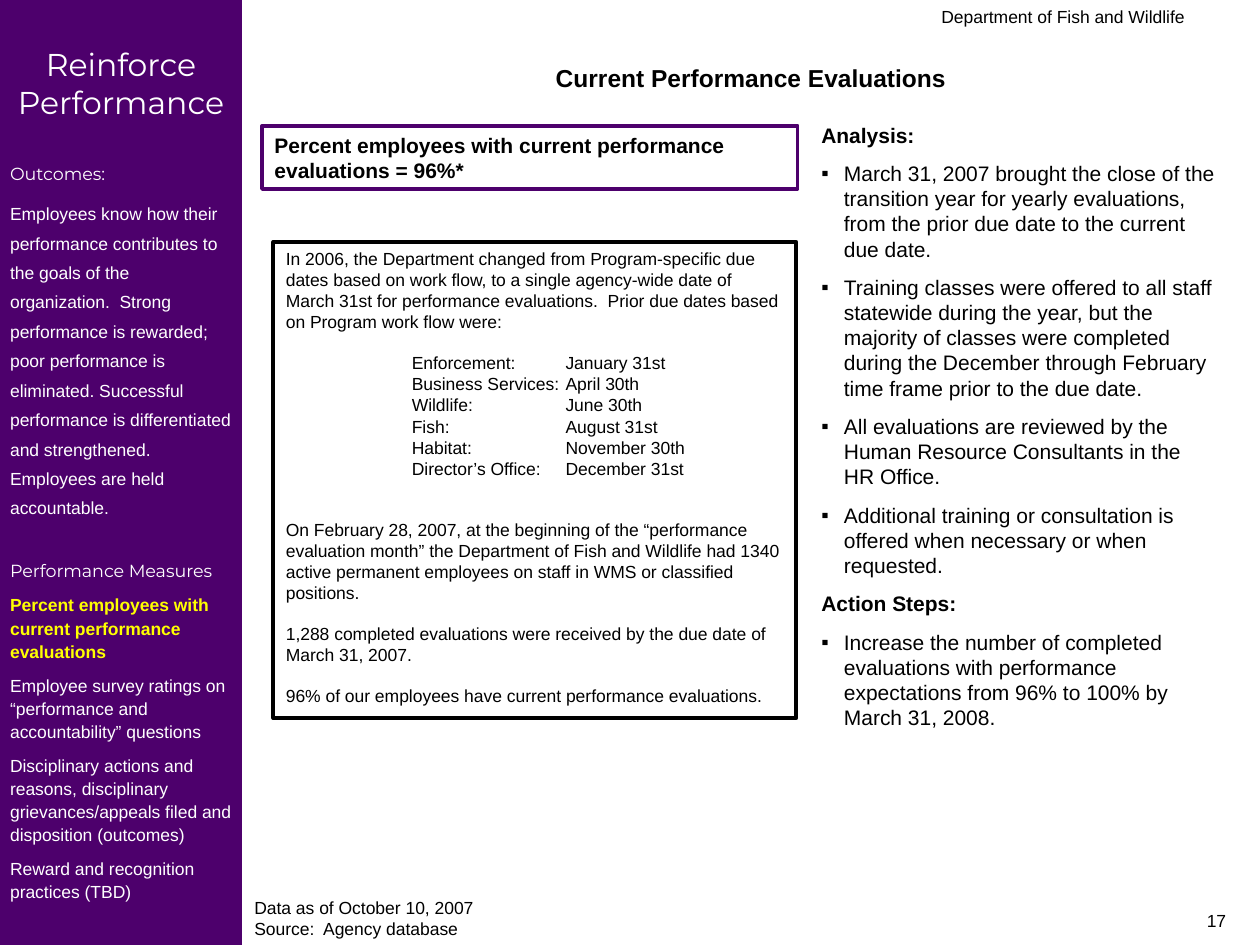
"""Build the Current Performance Evaluations slide."""
from lxml import etree
from pptx import Presentation
from pptx.dml.color import RGBColor
from pptx.enum import shapes, text
from pptx.oxml import ns
from pptx.util import Inches, Pt

COLORS = {"purple": "4D006C", "white": "FFFFFF", "yellow": "FFFF00", "black": "000000"}
LEFT, CENTER, RIGHT = text.PP_ALIGN.LEFT, text.PP_ALIGN.CENTER, text.PP_ALIGN.RIGHT

presentation = Presentation()
presentation.slide_width = Inches(10)
presentation.slide_height = Inches(7.5)
slide = presentation.slides.add_slide(presentation.slide_layouts[6])


def add_box(left, top, width, height, fill=None, line=None, insets=(0.1, 0.05, 0.1, 0.05)):
    position = [Inches(value) for value in (left, top, width, height)]
    if fill or line:
        shape = slide.shapes.add_shape(shapes.MSO_SHAPE.RECTANGLE, *position)
        shape.shadow.inherit = False
        if fill:
            shape.fill.solid()
            shape.fill.fore_color.rgb = RGBColor.from_string(COLORS[fill])
        else:
            shape.fill.background()
        if line:
            shape.line.color.rgb = RGBColor.from_string(COLORS[line])
            shape.line.width = Pt(2.25)
        else:
            shape.line.fill.background()
    else:
        shape = slide.shapes.add_textbox(*position)
    frame = shape.text_frame
    frame.word_wrap = True
    frame.vertical_anchor = text.MSO_ANCHOR.TOP
    frame.margin_left, frame.margin_top, frame.margin_right, frame.margin_bottom = map(Inches, insets)
    return frame


def add_text(frame, words, size=10, color="black", bold=False, font="Arial",
             align=LEFT, before=0, spacing=None, bullet=None, tabs=()):
    paragraph = frame.paragraphs[0]
    if paragraph.runs:
        paragraph = frame.add_paragraph()
        paragraph.space_before = Pt(before)
    paragraph.alignment = align
    if spacing:
        paragraph.line_spacing = spacing
    properties = paragraph._p.get_or_add_pPr()
    if bullet:
        properties.set("marL", str(Inches(0.18)))
        properties.set("indent", str(-Inches(0.18)))
        etree.SubElement(properties, ns.qn("a:buFont"), typeface="Arial")
        etree.SubElement(properties, ns.qn("a:buChar"), char=bullet)
    if tabs:
        tab_list = etree.SubElement(properties, ns.qn("a:tabLst"))
        for tab in tabs:
            etree.SubElement(tab_list, ns.qn("a:tab"), pos=str(Inches(tab)), algn="l")
    run = paragraph.add_run()
    run.text = words
    run.font.size = Pt(size)
    run.font.name = font
    run.font.bold = bold
    run.font.color.rgb = RGBColor.from_string(COLORS[color])


sidebar = add_box(0, 0, 1.92, 7.58, fill="purple", insets=(0.08, 0.36, 0.08, 0.04))
add_text(sidebar, "Reinforce Performance", 18, "white", font="Montserrat", align=CENTER)
add_text(sidebar, "Outcomes:", color="white", font="Montserrat", before=24)
add_text(
    sidebar,
    "Employees know how their performance contributes to the goals of the organization.  "
    "Strong performance is rewarded; poor performance is eliminated. Successful performance "
    "is differentiated and strengthened. Employees are held accountable.",
    color="white", before=6.2, spacing=1.4,
)
add_text(sidebar, "Performance Measures", color="white", font="Montserrat", before=24)
measures = [
    ("Percent employees with current performance evaluations", "yellow"),
    ("Employee survey ratings on “performance and accountability” questions", "white"),
    ("Disciplinary actions and reasons, disciplinary grievances/appeals filed and "
     "disposition (outcomes)", "white"),
    ("Reward and recognition practices (TBD)", "white"),
]
for measure, color in measures:
    add_text(sidebar, measure, color=color, bold=color == "yellow", before=6.2, spacing=1.1)

source = add_box(1.92, 7.07, 2.08, 0.44)
for line in ("Data as of October 10, 2007", "Source:  Agency database"):
    add_text(source, line)

analysis = add_box(6.42, 0.92, 3.33, 5.54)
sections = {
    "Analysis:": [
        "March 31, 2007 brought the close of the transition year for yearly evaluations, "
        "from the prior due date to the current due date.",
        "Training classes were offered to all staff statewide during the year, but the "
        "majority of classes were completed during the December through February time "
        "frame prior to the due date.",
        "All evaluations are reviewed by the Human Resource Consultants in the HR Office.",
        "Additional training or consultation is offered when necessary or when requested.",
    ],
    "Action Steps:": [
        "Increase the number of completed evaluations with performance expectations "
        "from 96% to 100% by March 31, 2008.",
    ],
}
for heading, points in sections.items():
    add_text(analysis, heading, 12, bold=True, before=7.5)
    for point in points:
        add_text(analysis, point, 12, before=7.5, bullet="▪")

result = add_box(2.08, 1, 4.25, 0.5, line="purple")
add_text(result, "Percent employees with current performance evaluations = 96%*", 12, bold=True)

title = add_box(2, 0.45, 7.92, 0.34)
add_text(title, "Current Performance Evaluations", 14, bold=True, align=CENTER)

details = add_box(2.17, 1.92, 4.15, 3.78, line="black")
add_text(
    details,
    "In 2006, the Department changed from Program-specific due dates based on work flow, "
    "to a single agency-wide date of March 31st for performance evaluations.  "
    "Prior due dates based on Program work flow were:",
)
due_dates = [
    ("Enforcement:", "January 31st"),
    ("Business Services:", "April 30th"),
    ("Wildlife:", "June 30th"),
    ("Fish:", "August 31st"),
    ("Habitat:", "November 30th"),
    ("Director’s Office:", "December 31st"),
]
for index, (program, date) in enumerate(due_dates):
    add_text(details, f"\t{program}\t{date}", before=0 if index else 11.5, tabs=(1, 2.22))
findings = [
    ("On February 28, 2007, at the beginning of the “performance evaluation month” the "
     "Department of Fish and Wildlife had 1340 active permanent employees on staff in WMS "
     "or classified positions.", 23),
    ("1,288 completed evaluations were received by the due date of March 31, 2007.", 11.5),
    ("96% of our employees have current performance evaluations.", 11.5),
]
for finding, gap in findings:
    add_text(details, finding, before=gap)

department = add_box(4.5, 0, 5, 0.25)
add_text(department, "Department of Fish and Wildlife", align=RIGHT)

page_number = add_box(7.5, 7.17, 2.33, 0.33)
add_text(page_number, "17", align=RIGHT)

presentation.save("out.pptx")
